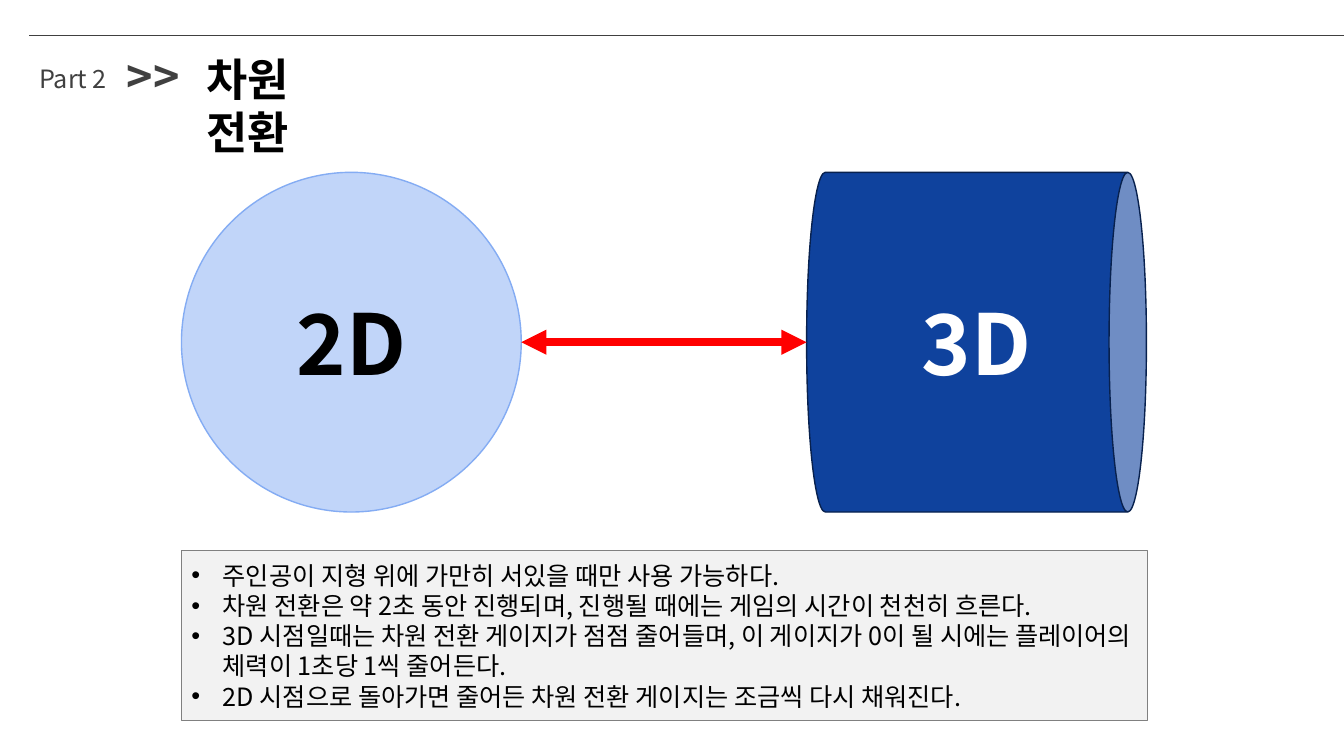
"""Build the slide that explains switching between 2D and 3D."""
import pptx
import pptx.util
import pptx.dml.color
import pptx.enum.shapes
import pptx.enum.text
import pptx.oxml.ns
from lxml import etree

Inches = pptx.util.Inches
Pt = pptx.util.Pt
RGBColor = pptx.dml.color.RGBColor
MSO_SHAPE = pptx.enum.shapes.MSO_SHAPE
PP_ALIGN = pptx.enum.text.PP_ALIGN
qn = pptx.oxml.ns.qn

BLACK = RGBColor(0x00, 0x00, 0x00)
WHITE = RGBColor(0xFF, 0xFF, 0xFF)
DARK_GRAY = RGBColor(0x40, 0x40, 0x40)
MID_GRAY = RGBColor(0x80, 0x80, 0x80)
LIGHT_GRAY = RGBColor(0xF2, 0xF2, 0xF2)
PALE_BLUE = RGBColor(0xC1, 0xD5, 0xF9)
SOFT_BLUE = RGBColor(0x84, 0xAC, 0xF3)
DEEP_BLUE = RGBColor(0x0F, 0x42, 0x9D)
NAVY = RGBColor(0x08, 0x21, 0x4E)
RED = RGBColor(0xFF, 0x00, 0x00)

FONT_NAME = "Noto Sans CJK KR"
FIGURE_TOP = 1.71
FIGURE_SIZE = 3.37
FIGURE_LEFTS = (1.8, 8)
RULES = (
    "주인공이 지형 위에 가만히 서있을 때만 사용 가능하다.",
    "차원 전환은 약 2초 동안 진행되며, 진행될 때에는 게임의 시간이 천천히 흐른다.",
    "3D 시점일때는 차원 전환 게이지가 점점 줄어들며, 이 게이지가 0이 될 시에는 "
    "플레이어의 체력이 1초당 1씩 줄어든다.",
    "2D 시점으로 돌아가면 줄어든 차원 전환 게이지는 조금씩 다시 채워진다.",
)


def set_attributes(target, formats):
    """Set each attribute of the target from a dict."""
    for name, value in formats.items():
        setattr(target, name, value)


def write_run(paragraph, text, size, color, bold=False):
    """Add one formatted run to a paragraph."""
    run = paragraph.add_run()
    run.text = text
    set_attributes(run.font, {"name": FONT_NAME, "size": Pt(size), "bold": bold})
    run.font.color.rgb = color
    east_asian = etree.SubElement(run.font._element, qn("a:ea"))
    east_asian.set("typeface", FONT_NAME)


def add_label(slide, box, text, size, color, bold=True, wrap=False, align=PP_ALIGN.LEFT):
    """Add a text box holding one line of text."""
    label = slide.shapes.add_textbox(*map(Inches, box))
    label.text_frame.word_wrap = wrap
    paragraph = label.text_frame.paragraphs[0]
    paragraph.alignment = align
    write_run(paragraph, text, size, color, bold)


def add_figure(slide, kind, box, fill, line):
    """Add a filled and outlined preset shape."""
    shape = slide.shapes.add_shape(kind, *map(Inches, box))
    shape.shadow.inherit = False
    shape.fill.solid()
    shape.fill.fore_color.rgb = fill
    shape.line.color.rgb = line
    shape.line.width = Pt(1)
    return shape


def add_line(slide, start, end, color, width, arrows=False):
    """Add a straight line, with arrowheads at both ends if wanted."""
    connector = slide.shapes.add_connector(
        pptx.enum.shapes.MSO_CONNECTOR.STRAIGHT, *map(Inches, start + end))
    connector.line.color.rgb = color
    connector.line.width = Pt(width)
    if arrows:
        outline = connector.line._get_or_add_ln()
        for tag in ("a:headEnd", "a:tailEnd"):
            etree.SubElement(outline, qn(tag)).set("type", "triangle")
    etree.SubElement(connector._element.spPr, qn("a:effectLst"))


def add_rules_box(slide, box):
    """Add the gray box with the bulleted rules."""
    shape = add_figure(slide, MSO_SHAPE.RECTANGLE, box, LIGHT_GRAY, MID_GRAY)
    frame = shape.text_frame
    set_attributes(frame, {"word_wrap": True,
                           "vertical_anchor": pptx.enum.text.MSO_ANCHOR.MIDDLE})
    for index, rule in enumerate(RULES):
        paragraph = frame.add_paragraph() if index else frame.paragraphs[0]
        paragraph.alignment = PP_ALIGN.LEFT
        properties = paragraph._element.get_or_add_pPr()
        properties.set("marL", str(Inches(0.31)))
        properties.set("indent", str(Inches(-0.31)))
        etree.SubElement(properties, qn("a:buFont")).set("typeface", "Arial")
        etree.SubElement(properties, qn("a:buChar")).set("char", "•")
        write_run(paragraph, rule, 18, BLACK)


def main():
    """Build and save the slide."""
    presentation = pptx.Presentation()
    set_attributes(presentation, {"slide_width": Inches(13.33), "slide_height": Inches(7.5)})
    slide = presentation.slides.add_slide(presentation.slide_layouts[6])

    add_line(slide, (0.29, 0.35), (13.33, 0.35), DARK_GRAY, 0.5)
    add_label(slide, (1.16, 0.43, 0.79, 0.64), ">>", 32, DARK_GRAY)
    add_label(slide, (1.95, 0.46, 1.87, 0.64), "차원 전환", 32, BLACK, wrap=True)
    add_label(slide, (0.29, 0.58, 0.88, 0.4), "Part 2", 18, DARK_GRAY, bold=False)

    circle_left, cylinder_left = FIGURE_LEFTS
    add_figure(slide, MSO_SHAPE.OVAL, (circle_left, FIGURE_TOP, FIGURE_SIZE, FIGURE_SIZE),
               PALE_BLUE, SOFT_BLUE)
    cylinder = add_figure(slide, MSO_SHAPE.CAN,
                          (cylinder_left, FIGURE_TOP, FIGURE_SIZE, FIGURE_SIZE),
                          DEEP_BLUE, NAVY)
    cylinder.rotation = 90
    cylinder.adjustments[0] = 0.11
    for left, text, color in zip(FIGURE_LEFTS, ("2D", "3D"), (BLACK, WHITE)):
        box = (left + (FIGURE_SIZE - 1.3) / 2, 2.84, 1.3, 1.11)
        add_label(slide, box, text, 60, color, align=PP_ALIGN.CENTER)

    middle = FIGURE_TOP + FIGURE_SIZE / 2
    add_line(slide, (circle_left + FIGURE_SIZE, middle), (cylinder_left, middle),
             RED, 6, arrows=True)
    add_rules_box(slide, (1.8, 5.46, 9.58, 1.69))
    presentation.save("out.pptx")


if __name__ == "__main__":
    main()
